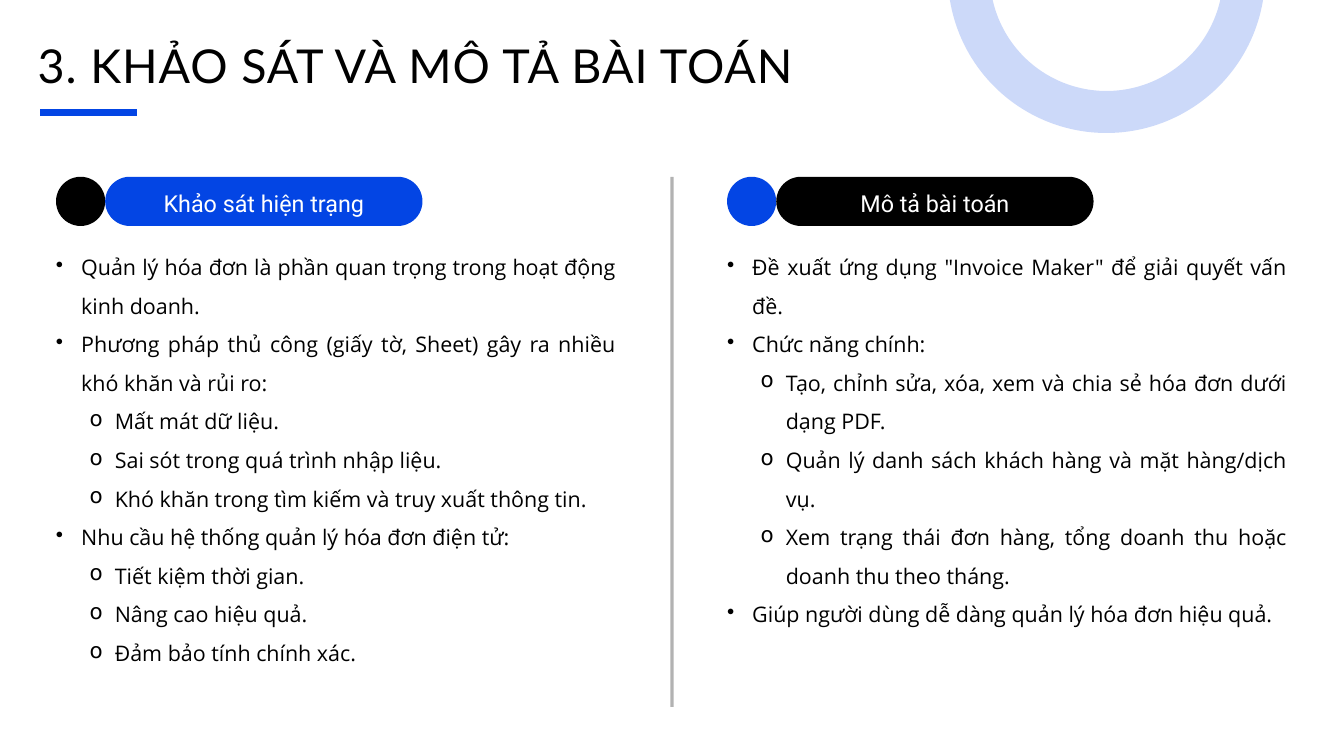
from pptx import Presentation
from pptx import util as u
from pptx.dml.color import RGBColor
from pptx.enum import shapes, text
from pptx.oxml.ns import qn
from lxml import etree

Pt = u.Pt
BLUE, BLACK, WHITE = "0345E4", "000000", "FFFFFF"
TOP, BADGE_H, PILL_W = 189.4, 52.7, 340
BODY_TOP, BODY_W = 258.5, 600.5

# Each column: left, dot colour, pill colour, heading, body height, (level, item) pairs
COLUMNS = [
    (60, BLACK, BLUE, "Khảo sát hiện trạng", 455, [
        (0, "Quản lý hóa đơn là phần quan trọng trong hoạt động kinh doanh."),
        (0, "Phương pháp thủ công (giấy tờ, Sheet) gây ra nhiều khó khăn và rủi ro:"),
        (1, "Mất mát dữ liệu."),
        (1, "Sai sót trong quá trình nhập liệu."),
        (1, "Khó khăn trong tìm kiếm và truy xuất thông tin."),
        (0, "Nhu cầu hệ thống quản lý hóa đơn điện tử:"),
        (1, "Tiết kiệm thời gian."),
        (1, "Nâng cao hiệu quả."),
        (1, "Đảm bảo tính chính xác."),
    ]),
    (779, BLUE, BLACK, "Mô tả bài toán", 413, [
        (0, 'Đề xuất ứng dụng "Invoice Maker" để giải quyết vấn đề.'),
        (0, "Chức năng chính:"),
        (1, "Tạo, chỉnh sửa, xóa, xem và chia sẻ hóa đơn dưới dạng PDF."),
        (1, "Quản lý danh sách khách hàng và mặt hàng/dịch vụ."),
        (1, "Xem trạng thái đơn hàng, tổng doanh thu hoặc doanh thu theo tháng."),
        (0, "Giúp người dùng dễ dàng quản lý hóa đơn hiệu quả."),
    ]),
]


def rgb(hex_color):
    return RGBColor.from_string(hex_color)


class Deck:
    """Holds the presentation, its current slide and the text style."""

    def __init__(self, width, height):
        self.prs = Presentation()
        self.prs.slide_width, self.prs.slide_height = Pt(width), Pt(height)
        self.s = self.prs.slides.add_slide(self.prs.slide_layouts[6])

    def stroke(self, sp, color, width, opacity=100):
        sp.line.color.rgb = rgb(color)
        sp.line.width = Pt(width)
        if opacity < 100:
            clr = sp._element.spPr.find(qn("a:ln")).find(".//" + qn("a:srgbClr"))
            etree.SubElement(clr, qn("a:alpha"), val=str(opacity * 1000))

    def line(self, x1, y1, x2, y2, color, width, opacity=100):
        sp = self.s.shapes.add_connector(
            shapes.MSO_CONNECTOR.STRAIGHT, Pt(x1), Pt(y1), Pt(x2), Pt(y2))
        self.stroke(sp, color, width, opacity)
        etree.SubElement(sp._element.spPr, qn("a:effectLst"))

    def shape(self, kind, x, y, w, h, fill=None):
        sp = self.s.shapes.add_shape(kind, Pt(x), Pt(y), Pt(w), Pt(h))
        sp.shadow.inherit = False
        sp.line.fill.background()
        if fill:
            sp.fill.solid()
            sp.fill.fore_color.rgb = rgb(fill)
        else:
            sp.fill.background()
        return sp

    def ring(self, x, y, size, color, width, opacity):
        sp = self.shape(shapes.MSO_SHAPE.OVAL, x, y, size, size)
        self.stroke(sp, color, width, opacity)

    def frame(self, x, y, w, h):
        """Add an empty wrapping text box without insets."""
        tf = self.s.shapes.add_textbox(Pt(x), Pt(y), Pt(w), Pt(h)).text_frame
        tf.word_wrap = True
        tf.auto_size = text.MSO_AUTO_SIZE.SHAPE_TO_FIT_TEXT
        tf.margin_left = tf.margin_right = tf.margin_top = tf.margin_bottom = 0
        return tf

    def set_text(self, p, words, font, size, color, spacing):
        p.text = words
        p.line_spacing = spacing
        r = p.runs[0]
        r.font.name, r.font.size = font, Pt(size)
        r.font.color.rgb = rgb(color)
        return r

    def title(self, x, y, w, h, words):
        p = self.frame(x, y, w, h).paragraphs[0]
        r = self.set_text(p, words, "Lato", 50, BLACK, Pt(70))
        r._r.get_or_add_rPr().set("spc", "100")

    def heading(self, x, dot, pill, words):
        self.shape(shapes.MSO_SHAPE.OVAL, x, TOP, BADGE_H, BADGE_H, dot)
        sp = self.shape(shapes.MSO_SHAPE.ROUNDED_RECTANGLE,
                        x + BADGE_H, TOP, PILL_W, BADGE_H, pill)
        sp.adjustments[0] = 0.5
        tf = sp.text_frame
        tf.margin_top, tf.margin_bottom = Pt(4), Pt(6)
        tf.vertical_anchor = text.MSO_ANCHOR.MIDDLE
        p = tf.paragraphs[0]
        p.alignment = text.PP_ALIGN.CENTER
        self.set_text(p, words, "Roboto", 25, WHITE, Pt(35))

    def bullets(self, x, y, w, h, items):
        tf = self.frame(x, y, w, h)
        for i, (level, words) in enumerate(items):
            p = tf.add_paragraph() if i else tf.paragraphs[0]
            p.level, p.alignment = level, text.PP_ALIGN.JUSTIFY
            self.set_text(p, words, "Open Sans", 23, BLACK, 1.5)
            pPr = p._p.get_or_add_pPr()
            pPr.set("marL", str(Pt(27 + 36 * level)))
            pPr.set("indent", str(-Pt(27)))
            etree.SubElement(pPr, qn("a:buChar"), char="•o"[level])


def main():
    d = Deck(1440, 810)
    d.line(720, TOP, 720, 757.5, BLACK, 3.75, 30)
    d.line(43.2, 120.2, 147, 120.2, BLUE, 7.5)
    d.title(40.3, 29.5, 848, 62.6, "3. KHẢO SÁT VÀ MÔ TẢ BÀI TOÁN")
    for x, dot, pill, words, body_h, items in COLUMNS:
        d.heading(x, dot, pill, words)
        d.bullets(x, BODY_TOP, BODY_W, body_h, items)
    d.ring(1038, -175, 295, BLUE, 45, 20)
    d.prs.save("out.pptx")


if __name__ == "__main__":
    main()
